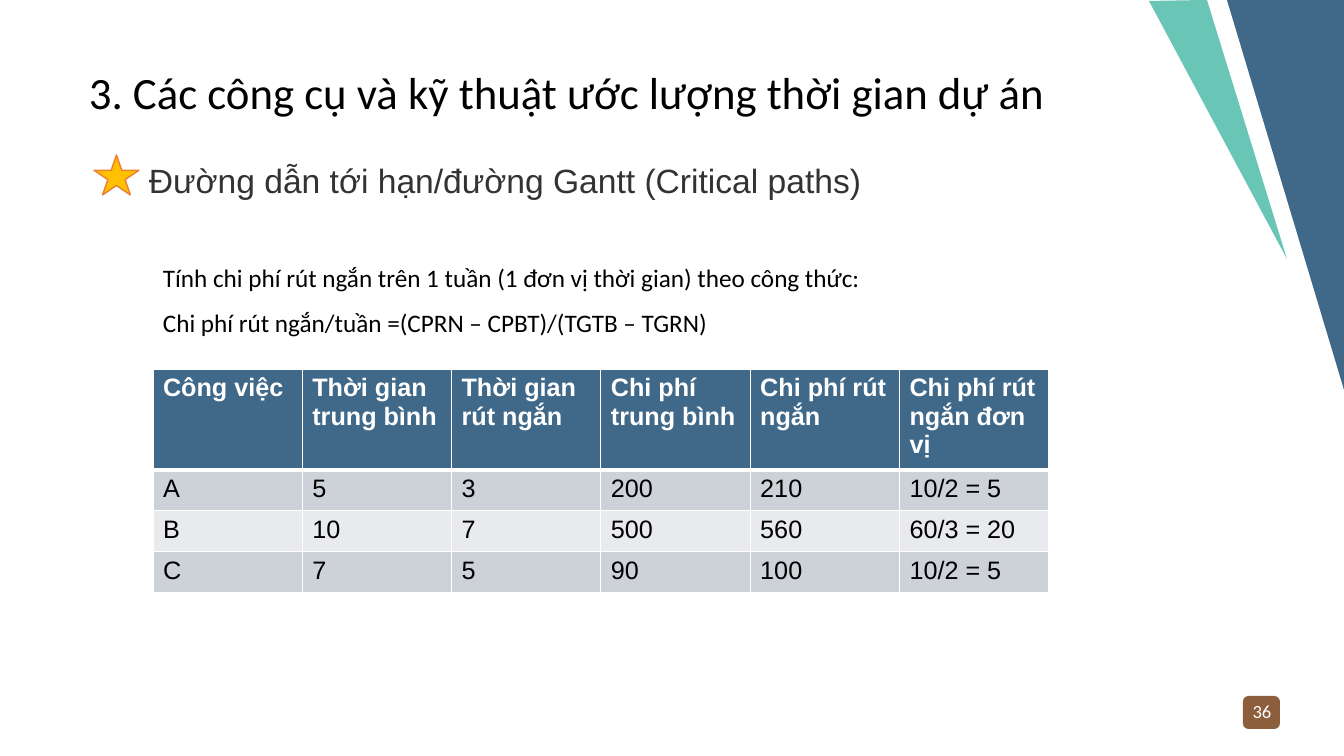
"""Build the slide on critical paths and crash costs."""
from lxml.etree import SubElement
from pptx import Presentation
from pptx.dml.color import RGBColor
from pptx.enum.shapes import MSO_SHAPE as Shape
from pptx.enum.text import PP_ALIGN as Align
from pptx.oxml import parse_xml
from pptx.oxml.ns import nsdecls, qn
from pptx.util import Emu, Pt

PX = 914400 / 100.8
WHITE = RGBColor(0xFF, 0xFF, 0xFF)
BLACK = RGBColor(0x00, 0x00, 0x00)
GREY = RGBColor(0x33, 0x33, 0x33)
NAVY = RGBColor(0x40, 0x68, 0x89)
TEAL = RGBColor(0x69, 0xC5, 0xB6)
BROWN = RGBColor(0x8C, 0x5E, 0x3C)
GOLD = RGBColor(0xFF, 0xC0, 0x00)
ORANGE = RGBColor(0xED, 0x7D, 0x31)
DARK = RGBColor(0xCD, 0xD2, 0xD9)
LIGHT = RGBColor(0xE8, 0xEA, 0xED)


def px(*nums):
    return [Emu(round(n * PX)) for n in nums]


def write(frame, text, size, font, color, bold=False):
    frame.word_wrap = True
    para = frame.paragraphs[0]
    run = para.add_run()
    run.text = text
    run.font.size = Pt(size)
    run.font.name = font
    run.font.bold = bold
    run.font.color.rgb = color
    return para


deck = Presentation()
deck.slide_width, deck.slide_height = px(1344, 756)
slide = deck.slides.add_slide(deck.slide_layouts[6])
shapes = slide.shapes

badge = shapes.add_shape(Shape.ROUNDED_RECTANGLE, *px(1243, 696, 37, 33))
badge.shadow.inherit = False
badge.fill.solid()
badge.fill.fore_color.rgb = BROWN
badge.line.fill.background()

number = shapes.add_textbox(*px(1243, 700, 38, 22)).text_frame
number.margin_left = number.margin_right = 0
number.margin_top = number.margin_bottom = 0
write(number, "36", 13.3, "Calibri", WHITE).alignment = Align.CENTER

for color, start, *rest in (
    (NAVY, (1346, 0), (1348, 403), (1227, 0)),
    (TEAL, (1207, 0), (1287, 259), (1149, 1)),
):
    pen = shapes.build_freeform(*start, scale=PX)
    pen.add_line_segments(rest, close=True)
    wedge = pen.convert_to_shape()
    wedge.shadow.inherit = False
    wedge.fill.solid()
    wedge.fill.fore_color.rgb = color
    wedge.line.fill.background()

for box, text, size, font, color, space in (
    ((79, 60, 988, 65), "3. Các công cụ và kỹ thuật ước lượng thời gian dự án",
     32, "Calibri", BLACK, 1.0),
    ((139, 155, 813, 50), "Đường dẫn tới hạn/đường Gantt (Critical paths)",
     24, "Arial", GREY, 1.0),
    ((153, 242, 735, 97),
     "Tính chi phí rút ngắn trên 1 tuần (1 đơn vị thời gian) theo công thức: "
     "Chi phí rút ngắn/tuần =(CPRN – CPBT)/(TGTB – TGRN)",
     18, "Calibri", BLACK, 1.5),
):
    frame = shapes.add_textbox(*px(*box)).text_frame
    write(frame, text, size, font, color).line_spacing = space

star = shapes.add_shape(Shape.STAR_5_POINT, *px(94, 155, 45, 40))
star.shadow.inherit = False
star.fill.solid()
star.fill.fore_color.rgb = GOLD
star.line.color.rgb = ORANGE
star.line.width = Pt(1)

data = (
    ("Công việc", "Thời gian trung bình", "Thời gian rút ngắn",
     "Chi phí trung bình", "Chi phí rút ngắn", "Chi phí rút ngắn đơn vị"),
    ("A", "5", "3", "200", "210", "10/2 = 5"),
    ("B", "10", "7", "500", "560", "60/3 = 20"),
    ("C", "7", "5", "90", "100", "10/2 = 5"),
)
table = shapes.add_table(len(data), len(data[0]), *px(153, 369, 896, 222)).table
heights = px(99, 41, 41, 41)
fills = (NAVY, DARK, LIGHT, DARK)
for r, words in enumerate(data):
    table.rows[r].height = heights[r]
    head = r == 0
    for c, word in enumerate(words):
        cell = table.cell(r, c)
        cell.fill.solid()
        cell.fill.fore_color.rgb = fills[r]
        write(cell.text_frame, word, 18, "Arial", WHITE if head else BLACK, head)
        props = cell._tc.get_or_add_tcPr()
        for i, side in enumerate("LRTB"):
            thick = (r, side) in ((0, "B"), (1, "T"))
            edge = parse_xml(f"<a:ln{side} {nsdecls('a')}/>")
            edge.set("w", str(Pt(3 if thick else 1)))
            fill = SubElement(edge, qn("a:solidFill"))
            SubElement(fill, qn("a:srgbClr")).set("val", str(WHITE))
            props.insert(i, edge)

deck.save("out.pptx")
